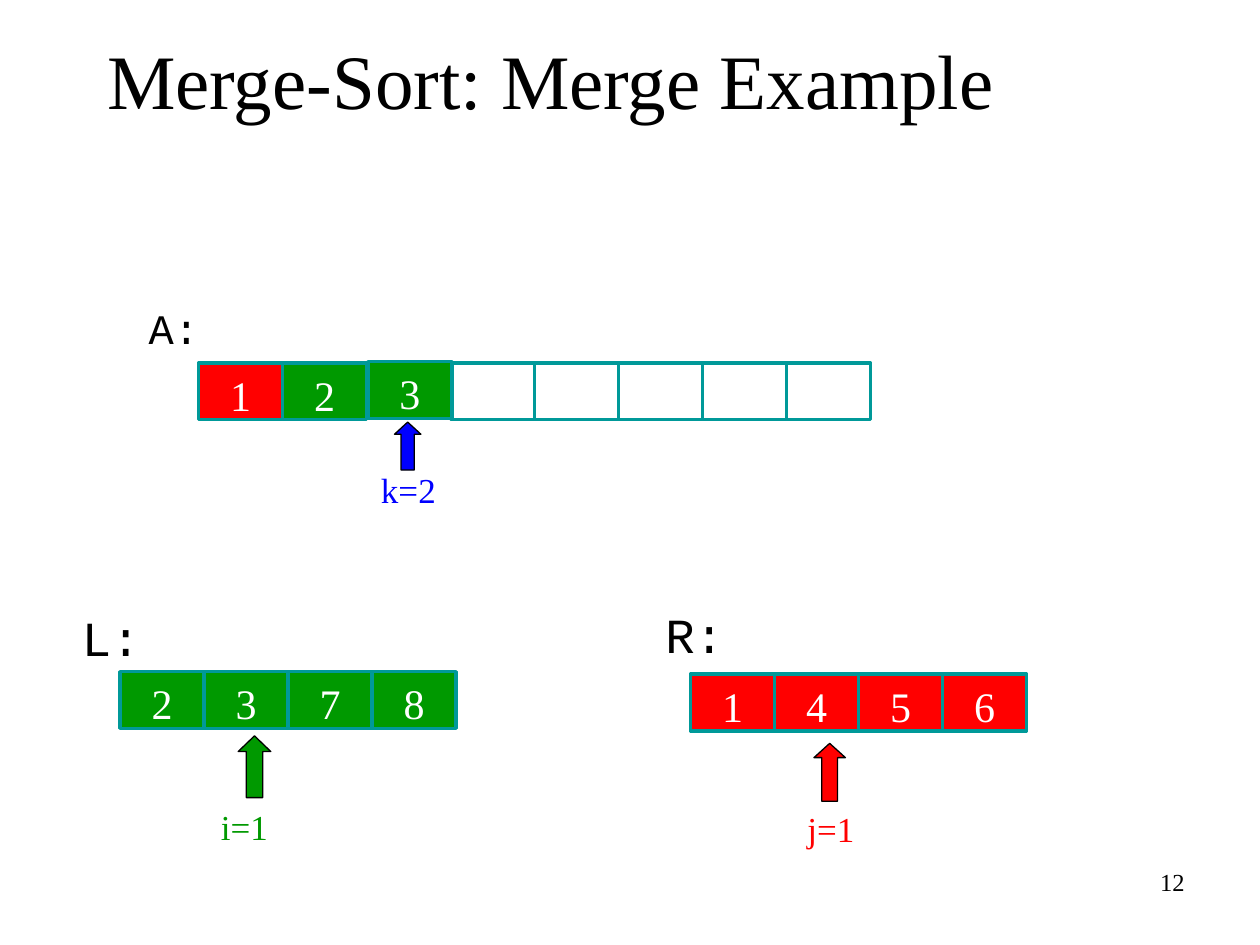
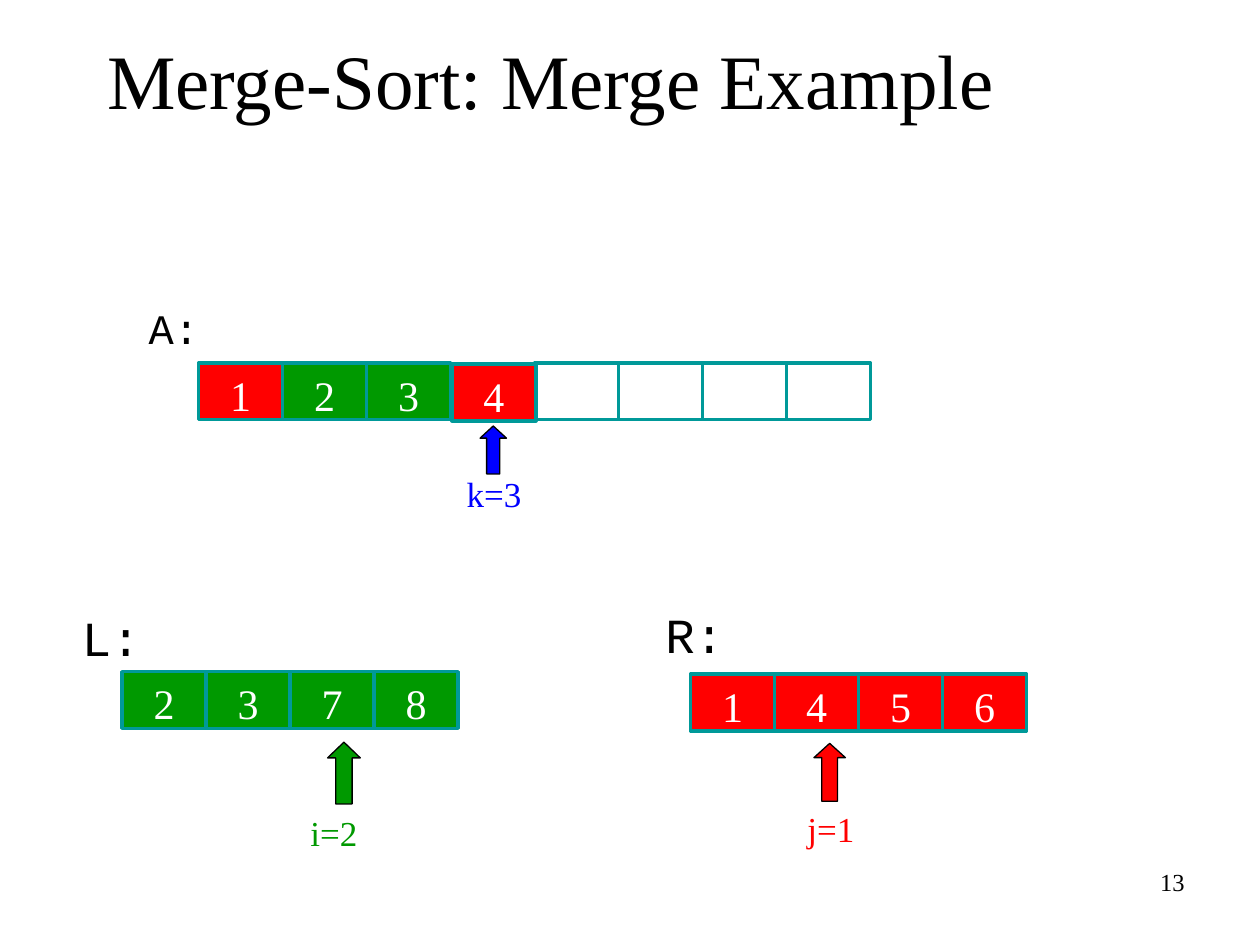
from dataclasses import dataclass
from typing import NamedTuple

from pptx import Presentation
from pptx.dml.color import RGBColor
from pptx.enum.shapes import MSO_SHAPE as Shape
from pptx.enum.text import MSO_ANCHOR as Anchor, MSO_AUTO_SIZE as Fit, PP_ALIGN as Align
from pptx.util import Pt

BLACK = RGBColor(0x00, 0x00, 0x00)
WHITE = RGBColor(0xFF, 0xFF, 0xFF)
RED = RGBColor(0xFF, 0x00, 0x00)
GREEN = RGBColor(0x00, 0x99, 0x00)
BLUE = RGBColor(0x00, 0x00, 0xFF)
TEAL = RGBColor(0x00, 0x99, 0x99)

SERIF = "Times New Roman"
MONO = "Courier New"
TITLE = "Merge-Sort: Merge Example"
CELL_W, CELL_H = 48, 32.4
A_LEFT, A_TOP, A_SIZE = 113.5, 207.4, 8


class Box(NamedTuple):
    left: float
    top: float
    wide: float
    high: float

    def points(self) -> list:
        return [Pt(v) for v in self]


class Label(NamedTuple):
    text: str
    box: Box
    size: float
    font: str = SERIF
    color: RGBColor = BLACK
    align: Align = Align.LEFT
    side: float = 0


class Cell(NamedTuple):
    text: str
    fill: RGBColor


@dataclass(frozen=True)
class Index:
    """An arrow under an array, with its label set off from it by dx, dy."""
    name: str
    color: RGBColor
    wide: float
    high: float
    head: float
    dx: float
    dy: float
    label_w: float
    side: float


@dataclass(frozen=True)
class Step:
    page: int
    merged: list[Cell]
    drop: float  # vertical shift of the newest cell
    l_left: float
    marks: list[tuple[Index, int, float, float]]


I = Index("i", GREEN, 18.7, 35.3, 0.481, -13.7, 36, 34.6, 0)
J = Index("j", RED, 18, 33.1, 0.455, -17.3, 33.1, 54, 7.2)
K = Index("k", BLUE, 15.1, 27.4, 0.46, -21.2, 23, 58.3, 7.2)
J_MARK = (J, 1, 465.1, 424.8)

LEFT = [Cell(t, GREEN) for t in "2378"]
RIGHT = [Cell(t, RED) for t in "1456"]
BLANK = Cell("", WHITE)
DONE = [RIGHT[0], LEFT[0], LEFT[1]]

NAMES = [
    Label("L:", Box(46.8, 343.4, 36, 41), 28, MONO),
    Label("A:", Box(77.8, 169.2, 49.7, 36), 24, MONO, side=7.2),
    Label("R:", Box(380.2, 342, 36, 41), 28, MONO),
]
STEPS = [
    Step(12, DONE, -0.7, 68.6, [(I, 1, 136.1, 420.5), J_MARK, (K, 2, 225.4, 241.2)]),
    Step(13, DONE + [RIGHT[1]], 0.7, 69.8,
         [(I, 2, 187.2, 424.1), J_MARK, (K, 3, 274.3, 243.4)]),
]


def add_run(frame, text: str, size: float, font: str, color: RGBColor, align: Align) -> None:
    para = frame.paragraphs[0]
    para.alignment = align
    run = para.add_run()
    run.text = text
    run.font.size = Pt(size)
    run.font.name = font
    run.font.color.rgb = color


def set_frame(frame, side: float, foot: float, grow: bool = True) -> None:
    frame.word_wrap = True
    frame.auto_size = Fit.SHAPE_TO_FIT_TEXT if grow else Fit.NONE
    frame.vertical_anchor = Anchor.TOP
    frame.margin_left = frame.margin_right = Pt(side)
    frame.margin_top, frame.margin_bottom = Pt(3.6), Pt(foot)


def add_label(slide, label: Label) -> None:
    frame = slide.shapes.add_textbox(*label.box.points()).text_frame
    set_frame(frame, label.side, 3.6)
    add_run(frame, label.text, label.size, label.font, label.color, label.align)


def add_form(slide, kind: Shape, box: Box, fill: RGBColor, line: RGBColor, weight: float):
    form = slide.shapes.add_shape(kind, *box.points())
    form.shadow.inherit = False
    form.fill.solid()
    form.fill.fore_color.rgb = fill
    form.line.color.rgb = line
    form.line.width = Pt(weight)
    return form


def add_cell(slide, cell: Cell, left: float, top: float) -> None:
    box = Box(left, top, CELL_W, CELL_H)
    form = add_form(slide, Shape.RECTANGLE, box, cell.fill, TEAL, 2)
    if cell.text:
        set_frame(form.text_frame, 7.2, 0)
        add_run(form.text_frame, cell.text, 24, SERIF, WHITE, Align.CENTER)


def add_row(slide, cells: list[Cell], left: float, top: float) -> None:
    for n, cell in enumerate(cells):
        add_cell(slide, cell, left + n * CELL_W, top)


def add_merged(slide, step: Step) -> None:
    """Draw array A, with its newest cell on top and slightly shifted."""
    *old, new = step.merged
    spot = len(old)
    add_row(slide, old, A_LEFT, A_TOP)
    rest = [BLANK] * (A_SIZE - spot - 1)
    add_row(slide, rest, A_LEFT + (spot + 1) * CELL_W, A_TOP)
    add_cell(slide, new, A_LEFT + spot * CELL_W + 0.7, A_TOP + step.drop)


def add_mark(slide, index: Index, value: int, left: float, top: float) -> None:
    box = Box(left, top, index.wide, index.high)
    arrow = add_form(slide, Shape.UP_ARROW, box, index.color, BLACK, 0.75)
    arrow.adjustments[0] = 0.5
    arrow.adjustments[1] = index.head
    spot = Box(left + index.dx, top + index.dy, index.label_w, 31.7)
    add_label(slide, Label(f"{index.name}={value}", spot, 20, SERIF, index.color,
                           Align.CENTER, index.side))


def add_title(slide) -> None:
    title = slide.shapes.title
    title.left, title.top, title.width, title.height = Box(54, 0, 612, 90).points()
    set_frame(title.text_frame, 7.2, 3.6, grow=False)
    title.text_frame.vertical_anchor = Anchor.MIDDLE
    add_run(title.text_frame, TITLE, 44, SERIF, BLACK, Align.LEFT)


def add_step(deck, step: Step) -> None:
    slide = deck.slides.add_slide(deck.slide_layouts.get_by_name("Title Only"))
    add_title(slide)
    add_label(slide, Label(str(step.page), Box(516, 491.8, 168, 37.4), 14,
                           align=Align.RIGHT, side=7.2))
    for name in NAMES:
        add_label(slide, name)
    add_merged(slide, step)
    add_row(slide, LEFT, step.l_left, 383.8)
    add_row(slide, RIGHT, 394.6, 385.2)
    for mark in step.marks:
        add_mark(slide, *mark)


def main() -> None:
    deck = Presentation()
    deck.slide_width, deck.slide_height = Pt(720), Pt(540)
    for step in STEPS:
        add_step(deck, step)
    deck.save("out.pptx")


if __name__ == "__main__":
    main()
